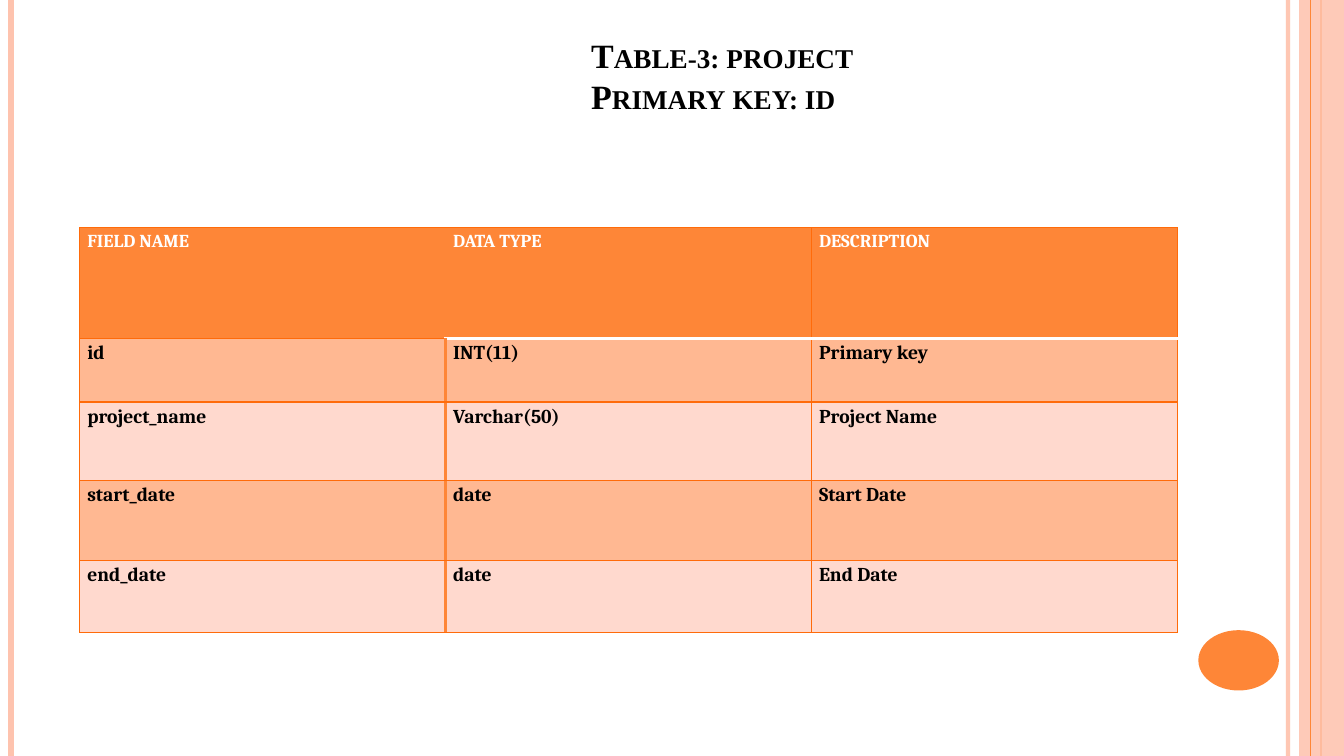
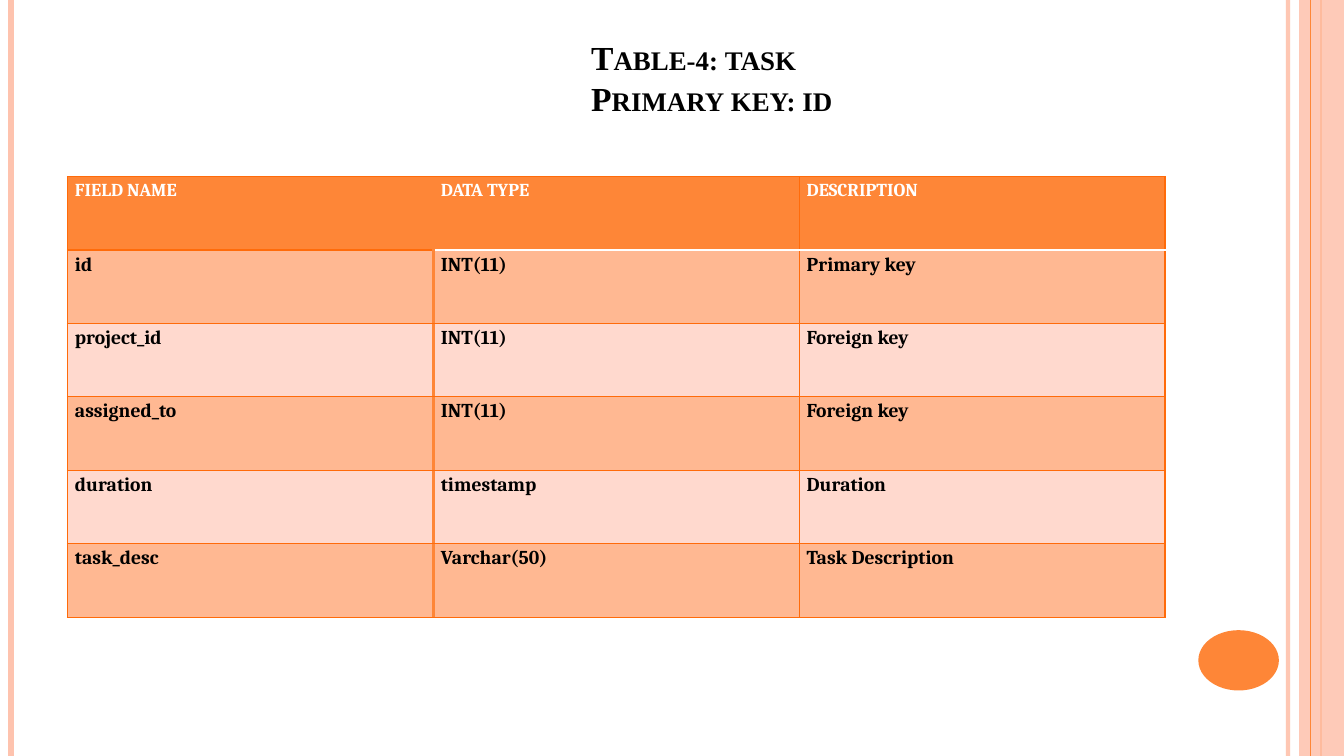
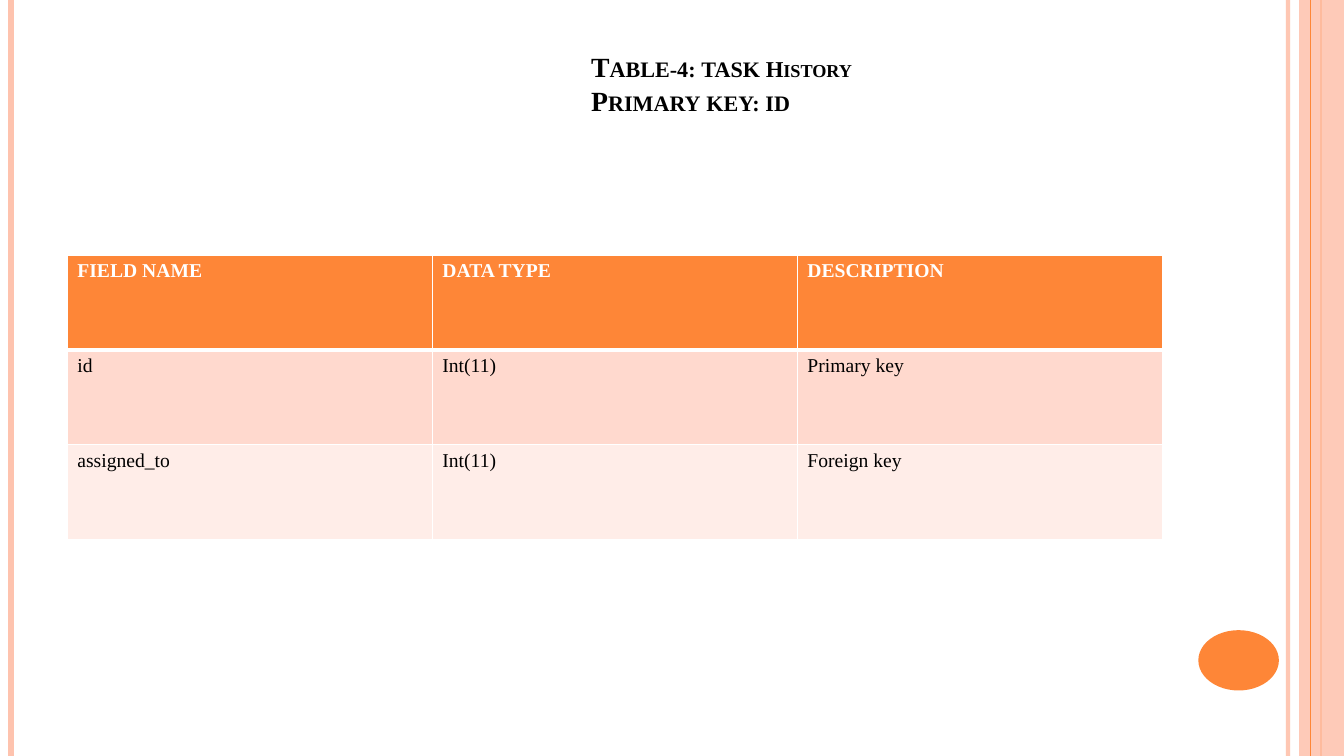
from dataclasses import dataclass

from lxml.etree import SubElement
from pptx import Presentation
from pptx.dml.color import RGBColor
from pptx.enum.shapes import MSO_CONNECTOR as CONNECTOR, MSO_SHAPE as SHAPE
from pptx.enum.text import MSO_ANCHOR as ANCHOR
from pptx.oxml.ns import qn
from pptx.util import Cm, Pt


@dataclass(frozen=True)
class Theme:
    accent: str = "FE8637"
    grid: str = "FF6B0A"
    pale: str = "FEC3AE"
    white: str = "FFFFFF"
    ink: str = "000000"
    title_font: str = "Times New Roman"
    title_leading: float = 1.22
    width: float = 33.87
    height: float = 19.05


THEME = Theme()


@dataclass(frozen=True)
class TableLook:
    """Rules are (colour, points); key_rule parts the first column from the rest."""
    font: str
    header_size: float
    body_size: float
    body_bold: bool
    bands: tuple
    grid: tuple
    header_rule: tuple
    key_rule: tuple | None
    margins: tuple
    spacing: float

    def across(self, row, col):
        """Rule above the given row."""
        if row == 1 and not (self.key_rule and col == 0):
            return self.header_rule
        return self.grid

    def down(self, row, col):
        """Rule to the left of the given column."""
        if self.key_rule and col == 1:
            return self.key_rule if row else None
        return self.grid


RULED = TableLook("Cambria", 13, 14, True, ("FFB892", "FFD9CE"),
                  (THEME.grid, 1), (THEME.white, 2), (THEME.accent, 2), (0.19, 0), 1.15)
PLAIN = TableLook(THEME.title_font, 14, 14, False, ("FFD9CE", "FFEDE8"),
                  (THEME.white, 1), (THEME.white, 3), None, (0.25, 0.13), 1.0)


def rgb(code):
    return RGBColor.from_string(code)


def set_alpha(fill, percent):
    color = fill._xPr.find(qn("a:solidFill"))[0]
    SubElement(color, qn("a:alpha")).set("val", str(percent * 1000))


def set_edge(cell, side, rule):
    ln = SubElement(cell._tc.get_or_add_tcPr(), qn("a:ln" + side))
    if rule is None:
        SubElement(ln, qn("a:noFill"))
        return
    color, points = rule
    ln.set("w", str(Pt(points)))
    solid = SubElement(ln, qn("a:solidFill"))
    SubElement(solid, qn("a:srgbClr")).set("val", color)


def style_run(r, font, size, color, bold):
    r.font.name = font
    r.font.size = Pt(size)
    r.font.color.rgb = rgb(color)
    r.font.bold = bold


class Deck:
    def __init__(self, theme):
        self.theme = theme
        self.prs = Presentation()
        self.prs.slide_width = Cm(theme.width)
        self.prs.slide_height = Cm(theme.height)
        self.s = None

    def new_slide(self):
        self.s = self.prs.slides.add_slide(self.prs.slide_layouts[6])
        t = self.theme
        self.vertical(32.46, t.pale, 3, alpha=93)
        self.vertical(0.28, t.pale, 4.5)
        self.vertical(33.3, t.accent, 1.5)
        self.shape(SHAPE.RECTANGLE, 32.74, 0, 1.13, t.height, t.pale, alpha=87)
        self.vertical(33.02, t.accent, 0.75)
        self.shape(SHAPE.OVAL, 30.2, 15.88, 2.03, 1.52, t.accent)

    def vertical(self, x, color, points, alpha=None):
        line = self.s.shapes.add_connector(
            CONNECTOR.STRAIGHT, Cm(x), 0, Cm(x), Cm(self.theme.height))
        line.line.color.rgb = rgb(color)
        line.line.width = Pt(points)
        if alpha:
            set_alpha(line.line.fill, alpha)
        SubElement(line._element.spPr, qn("a:effectLst"))

    def shape(self, kind, x, y, w, h, color, alpha=None):
        sp = self.s.shapes.add_shape(kind, Cm(x), Cm(y), Cm(w), Cm(h))
        sp.shadow.inherit = False
        sp.fill.solid()
        sp.fill.fore_color.rgb = rgb(color)
        if alpha:
            set_alpha(sp.fill, alpha)
        sp.line.fill.background()

    def title(self, lines, height, bottom):
        """Each line is a list of (text, size) parts, set in small capitals."""
        sp = self.s.shapes.add_textbox(Cm(1.7), Cm(0.76), Cm(27.66), Cm(height))
        tf = sp.text_frame
        tf.word_wrap = True
        tf.vertical_anchor = ANCHOR.BOTTOM
        tf.margin_left, tf.margin_bottom = Cm(13.2), Cm(bottom)
        for i, parts in enumerate(lines):
            p = tf.add_paragraph() if i else tf.paragraphs[0]
            p.line_spacing = Pt(round(parts[0][1] * self.theme.title_leading, 1))
            for text, size in parts:
                r = p.add_run()
                r.text = text
                style_run(r, self.theme.title_font, size, self.theme.ink, True)
                r.font._element.set("cap", "small")

    def table(self, x, y, col_width, row_heights, rows, look):
        cols = len(rows[0])
        frame = self.s.shapes.add_table(
            len(rows), cols, Cm(x), Cm(y), Cm(col_width * cols), Cm(sum(row_heights)))
        table = frame.table
        for column in table.columns:
            column.width = Cm(col_width)
        for i, (height, texts) in enumerate(zip(row_heights, rows)):
            table.rows[i].height = Cm(height)
            for j, text in enumerate(texts):
                self.cell(table.cell(i, j), i, j, text, look)

    def cell(self, cell, row, col, text, look):
        set_edge(cell, "L", look.down(row, col))
        set_edge(cell, "R", look.down(row, col + 1))
        set_edge(cell, "T", look.across(row, col))
        set_edge(cell, "B", look.across(row + 1, col))
        cell.margin_left = cell.margin_right = Cm(look.margins[0])
        cell.margin_top = cell.margin_bottom = Cm(look.margins[1])
        cell.fill.solid()
        p = cell.text_frame.paragraphs[0]
        p.text = text
        p.line_spacing = look.spacing
        if row == 0:
            fill, style = self.theme.accent, (look.header_size, self.theme.white, True)
        else:
            fill = look.bands[(row - 1) % 2]
            style = (look.body_size, self.theme.ink, look.body_bold)
        cell.fill.fore_color.rgb = rgb(fill)
        style_run(p.runs[0], look.font, *style)


HEADER = ("FIELD NAME", "DATA TYPE", "DESCRIPTION")
PRIMARY_KEY = "Primary key: id"


def main():
    deck = Deck(THEME)

    deck.new_slide()
    deck.title([[("Table-3: project", 24.3)], [(PRIMARY_KEY, 24.3)]], 3.18, 1)
    deck.table(2.01, 5.74, 9.22, [2.79, 1.6, 1.98, 2.01, 1.82], [
        HEADER,
        ("id", "INT(11)", "Primary key"),
        ("project_name", "Varchar(50)", "Project Name"),
        ("start_date", "date", "Start Date"),
        ("end_date", "date", "End Date"),
    ], RULED)

    deck.new_slide()
    deck.title([[("Table-4: task", 24)], [(PRIMARY_KEY, 24)]], 3.18, 0.95)
    deck.table(1.7, 4.45, 9.22, [1.85] * 6, [
        HEADER,
        ("id", "INT(11)", "Primary key"),
        ("project_id", "INT(11)", "Foreign key"),
        ("assigned_to", "INT(11)", "Foreign key"),
        ("duration", "timestamp", "Duration"),
        ("task_desc", "Varchar(50)", "Task Description"),
    ], RULED)

    deck.new_slide()
    deck.title([[("Table-4: task ", 19.8), ("History", 16.2)], [(PRIMARY_KEY, 19.8)]],
               2.31, 0.13)
    deck.table(1.7, 6.43, 9.2, [2.39] * 3, [
        HEADER,
        ("id", "Int(11)", "Primary key"),
        ("assigned_to", "Int(11)", "Foreign key"),
    ], PLAIN)

    deck.prs.save("out.pptx")


if __name__ == "__main__":
    main()
